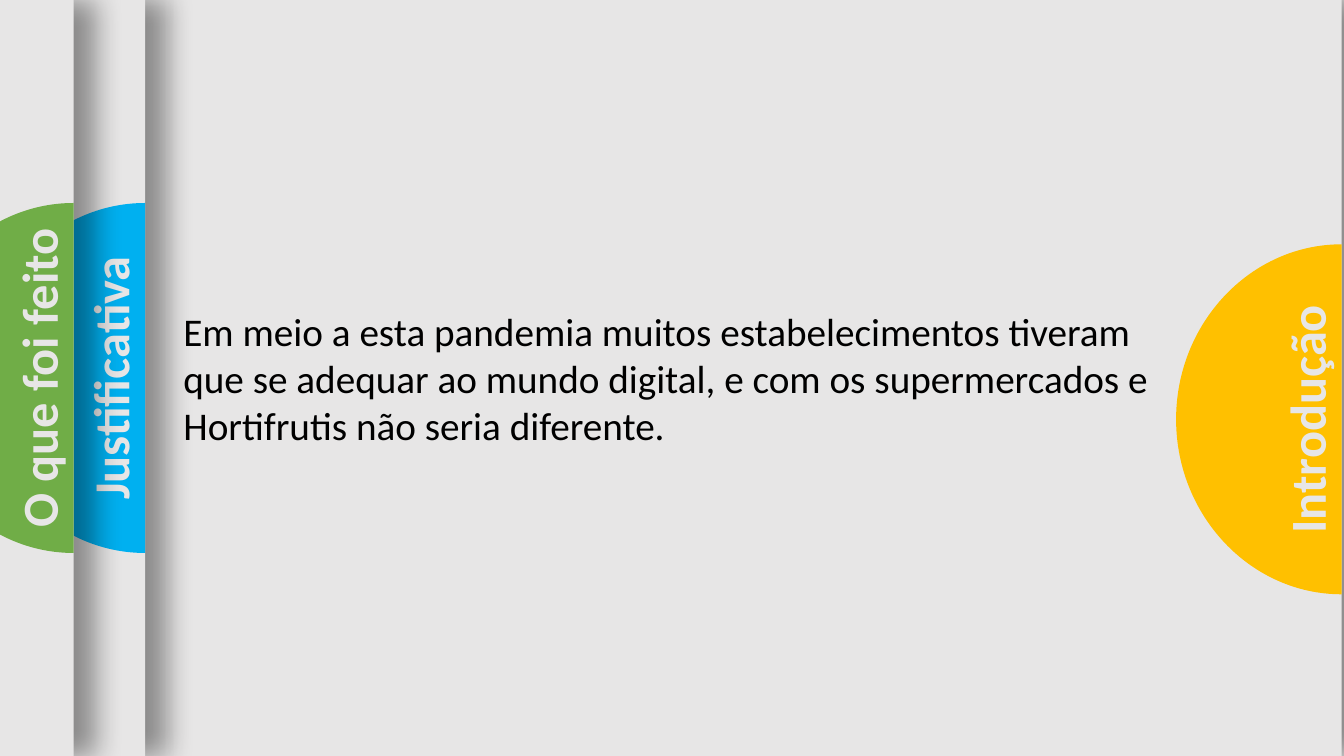
from dataclasses import dataclass

from lxml import etree
from pptx import Presentation
from pptx.dml.color import RGBColor
from pptx.enum import shapes, text
from pptx.oxml import ns
from pptx.util import Pt


@dataclass(frozen=True)
class Theme:
    font: str = "Calibri"
    paper: str = "E7E6E6"
    ink: str = "000000"
    yellow: str = "FFC000"
    blue: str = "00B0F0"
    green: str = "70AD47"
    body_size: int = 28
    label_size: int = 36


T = Theme()

# Content: label, tab colour, right edge of panel, tab centre y, label width
PANELS = [
    ("Introdução", T.yellow, 958.3, 299.5, 180),
    ("Justificativa", T.blue, 103.7, 270, 191),
    ("O que foi feito", T.green, 52.6, 270, 230),
]
BODY = [
    "Em meio a esta pandemia muitos estabelecimentos tiveram ",
    "que se adequar ao mundo digital, e com os supermercados e",
    "Hortifrutis não seria diferente.",
]

# Layout
SLIDE_W, SLIDE_H = 960, 540
PANEL_W = 834.5
TAB_RX, TAB_RY = 118.2, 125
ROUND = 0.55  # Bezier handle length of a quarter circle
LABEL_H, LABEL_INSET = 51, 25.6


def place(sp, x, y, w, h):
    sp.left, sp.top, sp.width, sp.height = Pt(x), Pt(y), Pt(w), Pt(h)


def paint(sp, color):
    sp.fill.solid()
    sp.fill.fore_color.rgb = RGBColor.from_string(color)
    sp.line.fill.background()


def style_text(p, size, color, bold=False):
    p.space_before = Pt(0)
    for r in p.runs:
        r.font.name, r.font.size, r.font.bold = T.font, Pt(size), bold
        r.font.color.rgb = RGBColor.from_string(color)


def add_shadow(sp):
    effects = etree.SubElement(sp._element.spPr, ns.qn("a:effectLst"))
    shadow = etree.SubElement(effects, ns.qn("a:outerShdw"), blurRad=str(Pt(20)),
                              dist=str(Pt(15)), dir="0", algn="l", rotWithShape="0")
    color = etree.SubElement(shadow, ns.qn("a:srgbClr"), val=T.ink)
    etree.SubElement(color, ns.qn("a:alpha"), val="40000")


def format_panel(sp, edge):
    place(sp, edge - PANEL_W, 0, PANEL_W, SLIDE_H)
    paint(sp, T.paper)
    add_shadow(sp)


def bend(line, *handles):
    """Turn a straight segment into a curve with two handles."""
    line.tag = ns.qn("a:cubicBezTo")
    for i, (x, y) in enumerate(handles):
        line.insert(i, etree.Element(ns.qn("a:pt"), x=str(Pt(x)), y=str(Pt(y))))


def add_tab(s, color, edge, cy):
    top, bottom = (Pt(edge), Pt(cy - TAB_RY)), (Pt(edge), Pt(cy + TAB_RY))
    builder = s.shapes.build_freeform(*top)
    builder.add_line_segments([bottom, (Pt(edge - TAB_RX), Pt(cy)), top], close=True)
    sp = builder.convert_to_shape()
    lower, upper = sp._element.findall(".//" + ns.qn("a:lnTo"))[1:]
    x, dy = TAB_RX * (1 - ROUND), TAB_RY * ROUND
    bend(lower, (x, 2 * TAB_RY), (0, TAB_RY + dy))
    bend(upper, (0, TAB_RY - dy), (x, 0))
    sp.shadow.inherit = False
    paint(sp, color)


def format_label(sp, label, edge, cy, width):
    place(sp, edge - LABEL_INSET - width / 2, cy - LABEL_H / 2, width, LABEL_H)
    sp.rotation = 270
    tf = sp.text_frame
    tf.text = label
    tf.word_wrap = False
    tf.auto_size = text.MSO_AUTO_SIZE.NONE
    tf.vertical_anchor = text.MSO_ANCHOR.MIDDLE
    p = tf.paragraphs[0]
    p.alignment = text.PP_ALIGN.CENTER
    style_text(p, T.label_size, T.paper, bold=True)


def fill_body(sp):
    tf = sp.text_frame
    tf.text = "\n".join(BODY)
    tf.word_wrap = True
    tf.auto_size = text.MSO_AUTO_SIZE.NONE
    tf.vertical_anchor = text.MSO_ANCHOR.MIDDLE
    for p in tf.paragraphs:
        style_text(p, T.body_size, T.ink)
        pPr = p._p.get_or_add_pPr()
        pPr.set("marL", "0")
        pPr.set("indent", "0")
        etree.SubElement(pPr, ns.qn("a:buNone"))


# Slide
prs = Presentation()
prs.slide_width, prs.slide_height = Pt(SLIDE_W), Pt(SLIDE_H)
s = prs.slides.add_slide(prs.slide_layouts[1])
s.background.fill.solid()
s.background.fill.fore_color.rgb = RGBColor.from_string(T.paper)
title, body = s.shapes.title, s.placeholders[1]
fill_body(body)

# Panels from back to front; the first one holds the title and body
for i, (label, color, edge, cy, width) in enumerate(PANELS):
    if i == 0:
        panel = body
    else:
        panel = s.shapes.add_shape(shapes.MSO_SHAPE.RECTANGLE, 0, 0, 0, 0)
    format_panel(panel, edge)
    add_tab(s, color, edge, cy)
    if i == 0:
        sp = title
        s.shapes._spTree.append(title._element)
    else:
        sp = s.shapes.add_textbox(0, 0, 0, 0)
    format_label(sp, label, edge, cy, width)

prs.save("out.pptx")
